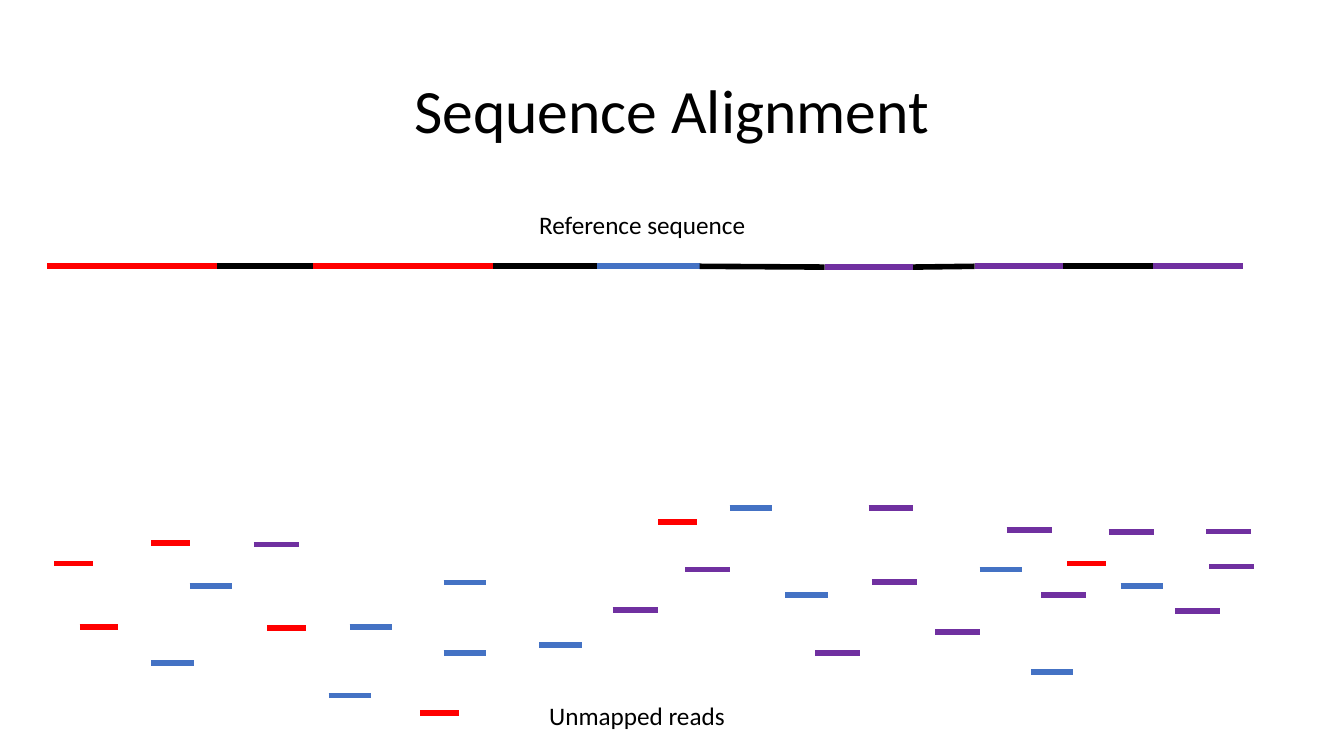
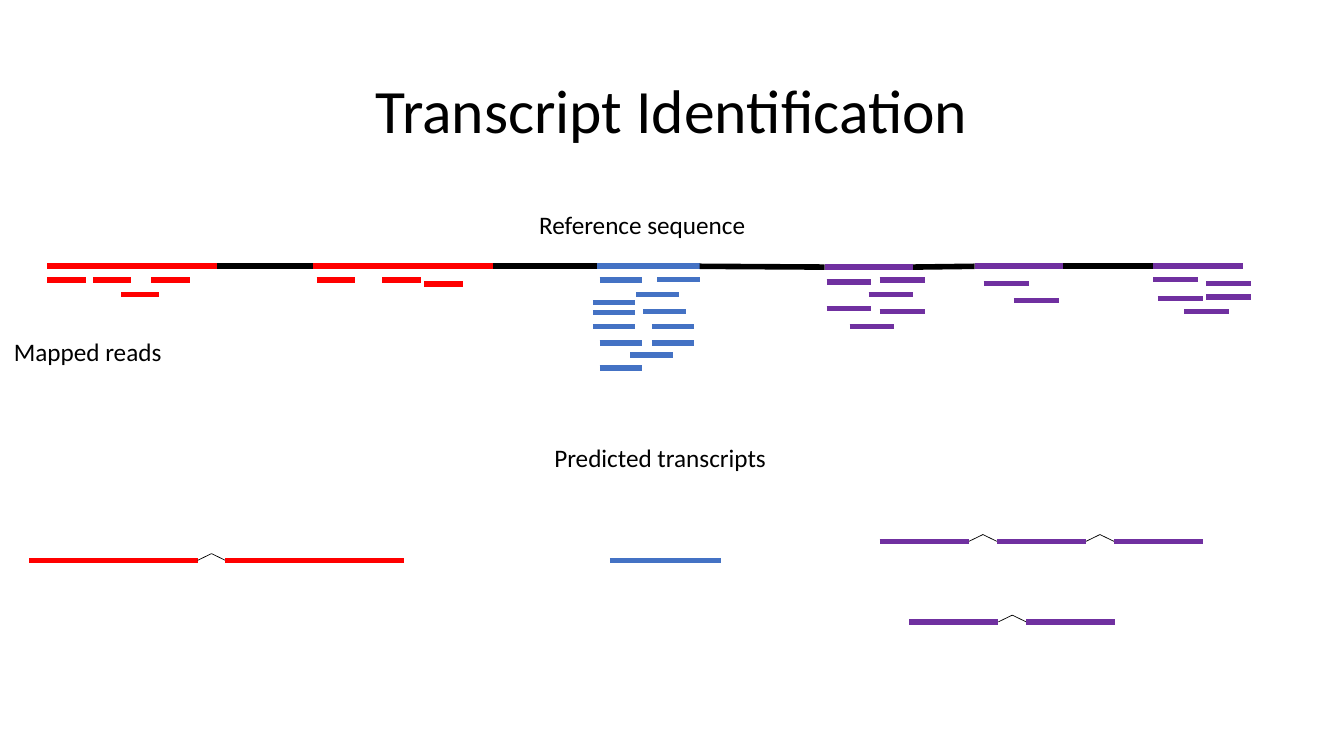
from itertools import pairwise

from lxml.etree import SubElement
from pptx import Presentation
from pptx.dml.color import RGBColor
from pptx.enum.shapes import MSO_CONNECTOR
from pptx.enum.text import MSO_ANCHOR, MSO_AUTO_SIZE, PP_ALIGN
from pptx.oxml.ns import qn
from pptx.util import Cm, Pt

COLORS = {
    "red": "FF0000",
    "blue": "4472C4",
    "purple": "7030A0",
    "black": "000000",
}
READ_LENGTHS = {"red": 0.97, "blue": 1.07, "purple": 1.13}

REFERENCE_POINTS = [
    (1.19, 6.71), (5.47, 6.71), (7.9, 6.71), (12.42, 6.71),
    (15.04, 6.71), (17.63, 6.71), (20.78, 6.73), (23.01, 6.73),
    (24.56, 6.71), (26.8, 6.71), (29.06, 6.71), (31.32, 6.71),
]
REFERENCE_COLORS = [
    "red", "black", "red", "black", "blue", "black",
    "purple", "black", "purple", "black", "purple",
]

UNMAPPED_READS = {
    "red": [
        (1.37, 14.2), (16.59, 13.16), (2.01, 15.8), (10.59, 17.96),
        (6.73, 15.82), (26.9, 14.2), (3.81, 13.69),
    ],
    "blue": [
        (13.59, 16.26), (11.18, 14.68), (8.81, 15.8), (24.69, 14.35),
        (4.78, 14.76), (8.28, 17.53), (11.18, 16.46), (28.24, 14.76),
        (18.39, 12.8), (25.98, 16.94), (19.79, 14.99), (3.81, 16.71),
    ],
    "purple": [
        (21.97, 14.66), (23.57, 15.93), (21.89, 12.8), (30.4, 13.39),
        (26.24, 14.99), (15.44, 15.37), (6.4, 13.72), (17.27, 14.35),
        (25.37, 13.36), (20.55, 16.46), (27.94, 13.41), (29.62, 15.39),
        (30.48, 14.27),
    ],
}
MAPPED_READS = {
    "red": [
        (1.19, 7.06), (3.81, 7.06), (3.05, 7.42), (10.69, 7.16),
        (9.63, 7.06), (7.98, 7.06), (2.34, 7.06),
    ],
    "blue": [
        (16.43, 8.64), (14.94, 7.87), (16.56, 7.04), (16.03, 7.42),
        (14.94, 7.62), (15.88, 8.94), (15.11, 8.64), (16.43, 8.23),
        (15.11, 7.06), (16.21, 7.85), (15.11, 9.27), (14.94, 8.23),
    ],
    "purple": [
        (29.18, 7.52), (24.79, 7.14), (22.17, 7.85), (29.06, 7.04),
        (21.41, 8.23), (20.83, 7.11), (22.17, 7.06), (21.89, 7.42),
        (20.83, 7.77), (30.4, 7.49), (25.55, 7.57), (29.85, 7.85),
        (30.4, 7.14),
    ],
}
TRANSCRIPTS = [
    ("red", 0.74, 14.12, [4.24, 4.5]),
    ("blue", 15.37, 14.12, [2.79]),
    ("purple", 22.17, 13.64, [2.25, 2.25, 2.25]),
    ("purple", 22.91, 15.67, [2.25, 2.25]),
]


class Deck:
    """Hold the shared style and draw elements on the current slide."""

    font = "Calibri"
    thick, thin = 4, 0.5
    intron_width, intron_height = 0.7, 0.17

    def __init__(self):
        self.prs = Presentation()
        self.prs.slide_width, self.prs.slide_height = Cm(33.87), Cm(19.05)
        self.s = None

    def add_slide(self, title):
        self.s = self.prs.slides.add_slide(self.prs.slide_layouts[6])
        tf = self.text(title, 2.33, 1.02, 29.21, 3.68, 44)
        tf.vertical_anchor = MSO_ANCHOR.MIDDLE
        p = tf.paragraphs[0]
        p.alignment = PP_ALIGN.CENTER
        p.line_spacing = 0.9
        self.label("Reference sequence", 13.34, 5.16, 7.21)
        self.reference()

    def text(self, text, x, y, w, h, size):
        tf = self.s.shapes.add_textbox(Cm(x), Cm(y), Cm(w), Cm(h)).text_frame
        tf.word_wrap = True
        tf.text = text
        font = tf.paragraphs[0].runs[0].font
        font.name = self.font
        font.size = Pt(size)
        font.color.rgb = RGBColor.from_string(COLORS["black"])
        return tf

    def label(self, text, x, y, w):
        tf = self.text(text, x, y, w, 1.02, 18)
        tf.auto_size = MSO_AUTO_SIZE.SHAPE_TO_FIT_TEXT

    def line(self, start, end, color, width=thick):
        sp = self.s.shapes.add_connector(
            MSO_CONNECTOR.STRAIGHT, *map(Cm, (*start, *end)))
        sp.line.color.rgb = RGBColor.from_string(COLORS[color])
        sp.line.width = Pt(width)
        SubElement(sp._element.spPr, qn("a:effectLst"))

    def reference(self):
        for (start, end), color in zip(pairwise(REFERENCE_POINTS), REFERENCE_COLORS):
            self.line(start, end, color)

    def reads(self, reads):
        for color, places in reads.items():
            for x, y in places:
                self.line((x, y), (x + READ_LENGTHS[color], y), color)

    def intron(self, x, y):
        peak = (x + self.intron_width / 2, y - self.intron_height)
        for foot in (x, x + self.intron_width):
            self.line((foot, y), peak, "black", self.thin)

    def transcript(self, color, x, y, exons):
        for i, length in enumerate(exons):
            if i:
                self.intron(x, y)
                x += self.intron_width
            self.line((x, y), (x + length, y), color)
            x += length


def main():
    deck = Deck()

    deck.add_slide("Sequence Alignment")
    deck.reads(UNMAPPED_READS)
    deck.label("Unmapped reads", 13.59, 17.53, 6.5)

    deck.add_slide("Transcript Identification")
    deck.reads(MAPPED_READS)
    deck.label("Mapped reads", 0.1, 8.36, 4.93)
    deck.label("Predicted transcripts", 13.72, 11.02, 12.12)
    for transcript in TRANSCRIPTS:
        deck.transcript(*transcript)

    deck.prs.save("out.pptx")


if __name__ == "__main__":
    main()
